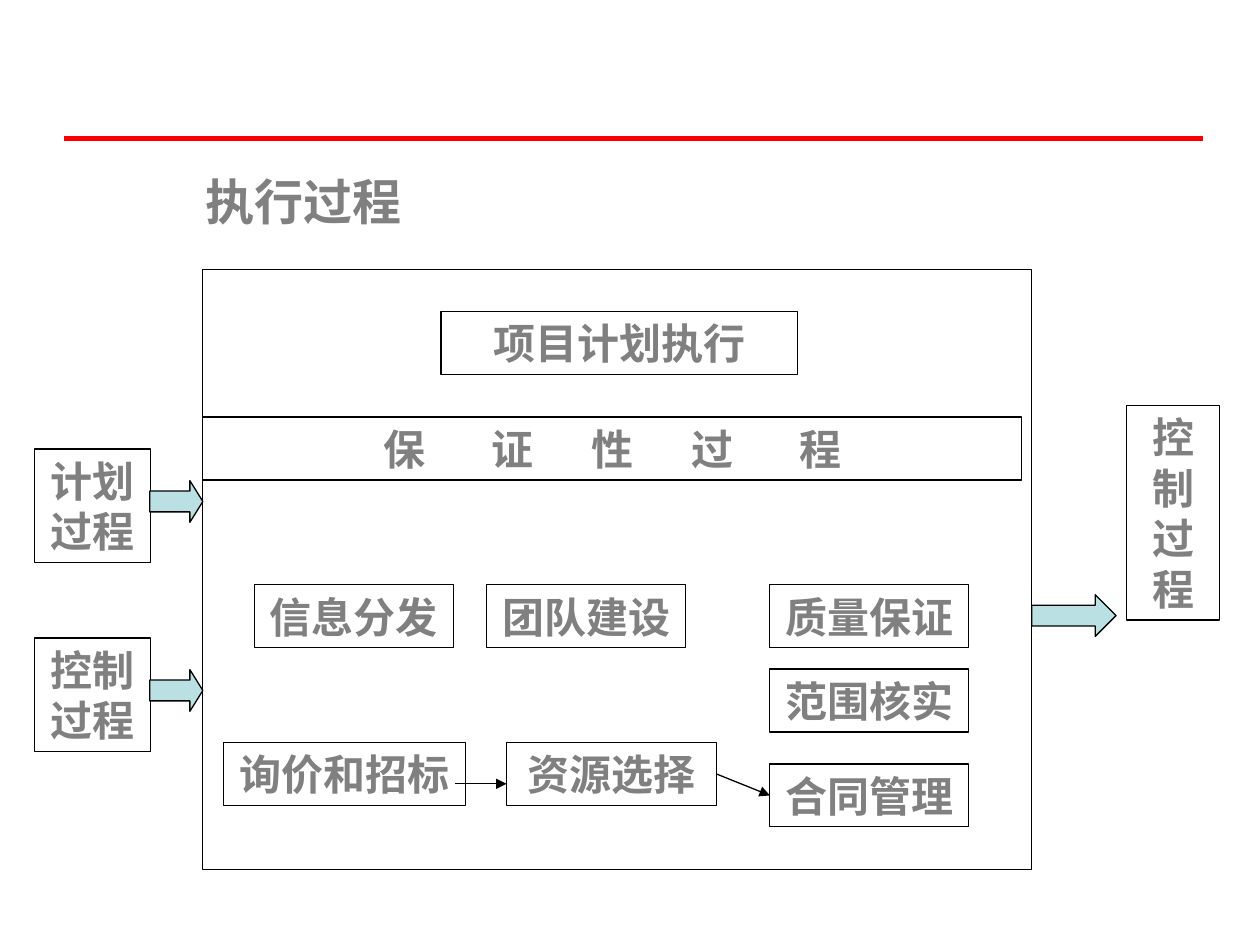
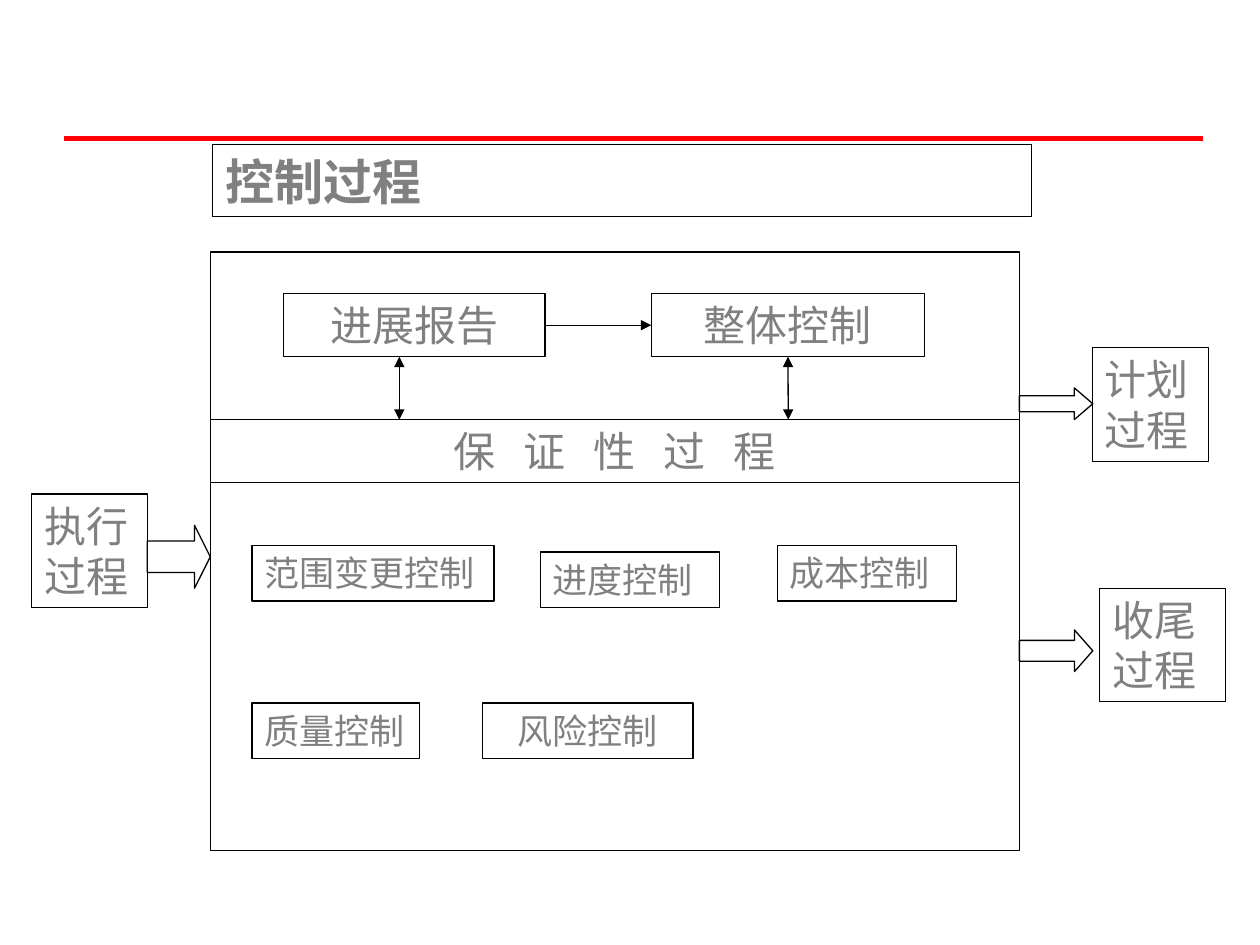
from lxml.etree import SubElement
from pptx import Presentation
from pptx.dml.color import RGBColor
from pptx.enum.shapes import MSO_CONNECTOR, MSO_SHAPE
from pptx.enum.text import MSO_ANCHOR, MSO_AUTO_SIZE, PP_ALIGN
from pptx.oxml.ns import qn
from pptx.util import Cm, Pt

RED = RGBColor(0xFF, 0x00, 0x00)
BLACK = RGBColor(0x00, 0x00, 0x00)
GRAY = RGBColor(0x80, 0x80, 0x80)
AQUA = RGBColor(0xBB, 0xE0, 0xE3)
HAIR = Pt(0.75)
ROW = 1.27
GATE = (2.34, 2.29)
TALL = (1.88, 4.32)


def outline(shape):
    shape.line.color.rgb = BLACK
    shape.line.width = HAIR


def style(shape, size, bold, align, face="Times New Roman"):
    frame = shape.text_frame
    frame.word_wrap = True
    frame.auto_size = MSO_AUTO_SIZE.NONE
    frame.vertical_anchor = MSO_ANCHOR.TOP
    para = frame.paragraphs[0]
    para.alignment = align
    para.space_before = Pt(0)
    font = para.font
    font.name = face
    font.size = Pt(size)
    font.bold = bold
    font.color.rgb = GRAY


def link(slide, start, end, color=BLACK, width=HAIR, tips=()):
    line = slide.shapes.add_connector(
        MSO_CONNECTOR.STRAIGHT, *(Cm(v) for v in (*start, *end)))
    line.line.color.rgb = color
    line.line.width = width
    props = line._element.spPr
    SubElement(props, qn("a:effectLst"))
    for tip in tips:
        SubElement(props.find(qn("a:ln")), qn(f"a:{tip}"), type="triangle")
    return line


class Panel:
    def __init__(self, slide, left, top, width, height, bold, fill=None):
        self.slide = slide
        self.left, self.top = left, top
        self.bold, self.fill = bold, fill
        self.shape(MSO_SHAPE.RECTANGLE, 0, 0, width, height)

    def spot(self, x, y):
        return self.left + x, self.top + y

    def shape(self, kind, x, y, width, height, fill=None):
        left, top = self.spot(x, y)
        shape = self.slide.shapes.add_shape(
            kind, Cm(left), Cm(top), Cm(width), Cm(height))
        shape.shadow.inherit = False
        outline(shape)
        if fill is None:
            shape.fill.background()
        else:
            shape.fill.solid()
            shape.fill.fore_color.rgb = fill
        return shape

    def box(self, text, x, y, width, height=ROW, size=24,
            align=PP_ALIGN.CENTER):
        shape = self.shape(MSO_SHAPE.RECTANGLE, x, y, width, height)
        shape.text_frame.text = text
        style(shape, size, self.bold, align)
        return shape

    def band(self, y, width, parts):
        shape = self.box("", 0, y, width)
        para = shape.text_frame.paragraphs[0]
        for text, gap in parts:
            run = para.add_run()
            run.text = text
            run._r.get_or_add_rPr().set("spc", str(gap * 100))

    def arrow(self, x, y, width, height, head):
        shape = self.shape(
            MSO_SHAPE.RIGHT_ARROW, x, y, width, height, self.fill)
        shape.adjustments[0] = 0.5
        shape.adjustments[1] = head

    def line(self, start, end, *tips):
        return link(self.slide, self.spot(*start), self.spot(*end), tips=tips)

    def join(self, first, second):
        line = self.line((0, 0), (1, 1), "tailEnd")
        line.begin_connect(first, 3)
        line.end_connect(second, 1)


def start(deck, text, left, top, width):
    slide = deck.slides.add_slide(deck.slide_layouts[5])
    link(slide, (1.3, 2.79), (24.26, 2.79), RED, Pt(3))
    title = slide.shapes.title
    title.left, title.top = Cm(left), Cm(top)
    title.width, title.height = Cm(width), Cm(1.45)
    title.text_frame.text = text
    style(title, 28, True, PP_ALIGN.LEFT, "Arial")
    return slide


def execute(deck):
    slide = start(deck, "执行过程", 3.89, 3.33, 12.09)
    panel = Panel(slide, 4.09, 5.44, 16.71, 12.09, True, AQUA)
    panel.box("项目计划执行", 4.8, 0.84, 7.19)
    panel.band(2.97, 16.51, [("保", 38), ("证性", 33), ("过", 38), ("程", 0)])
    for text, x, y in (("信息分发", 1.04, 6.35), ("团队建设", 4.7 + 1.02, 6.35),
                       ("质量保证", 11.43, 6.35), ("范围核实", 11.43, 8.05)):
        panel.box(text, x, y, 4.01)
    deal = panel.box("合同管理", 11.43, 9.96, 4.01)
    panel.box("询价和招标", 0.41, 9.53, 4.88)
    pick = panel.box("资源选择", 6.12, 9.53, 4.24)
    panel.line((5.08, 10.36), (6.12, 10.36), "tailEnd")
    panel.join(pick, deal)
    for text, y in (("计划过程", 3.61), ("控制过程", 7.42)):
        panel.box(text, -3.4, y, *GATE)
        panel.arrow(-1.07, y + 0.64, 1.07, 0.84, 0.31)
    panel.box("控制过程", 18.62, 2.74, *TALL)
    panel.arrow(16.71, 6.55, 1.7, 0.84, 0.5)


def control(deck):
    slide = start(deck, "控制过程", 4.29, 2.92, 16.51)
    outline(slide.shapes.title)
    panel = Panel(slide, 4.24, 5.08, 16.31, 12.07, False)
    report = panel.box("进展报告", 1.47, 0.84, 5.28)
    whole = panel.box("整体控制", 8.89, 0.84, 5.51)
    panel.band(3.38, 16.31, [("保证性过", 16), ("程", 0)])
    left = PP_ALIGN.LEFT
    for text, x, y, width, align in (
            ("范围变更控制", 0.84, 5.92, 4.88, left),
            ("进度控制", 6.65, 6.05, 3.61, left),
            ("成本控制", 11.43, 5.92, 3.61, left),
            ("质量控制", 0.84, 9.09, 3.38, left),
            ("风险控制", 5.49, 9.09, 4.24, PP_ALIGN.CENTER)):
        panel.box(text, x, y, width, 1.12, 20, align)
    panel.join(report, whole)
    both = ("headEnd", "tailEnd")
    panel.line((3.81, 2.11), (3.81, 3.38), *both)
    panel.line((11.65, 2.11), (11.65, 3.38), *both).begin_connect(whole, 2)
    for text, x, y, width in (("计划过程", 17.78, 1.93, 2.34),
                              ("收尾过程", 17.93, 6.78, 2.54),
                              ("执行过程", -3.6, 4.88, 2.34)):
        panel.box(text, x, y, width, 2.29, align=left)
    panel.arrow(-1.27, 5.51, 1.27, 1.27, 0.25)
    panel.arrow(16.31, 2.74, 1.48, 0.64, 0.58)
    panel.arrow(16.31, 7.62, 1.48, 0.84, 0.44)


def main():
    deck = Presentation()
    deck.slide_width, deck.slide_height = Cm(25.4), Cm(19.05)
    execute(deck)
    control(deck)
    deck.save("out.pptx")


if __name__ == "__main__":
    main()
